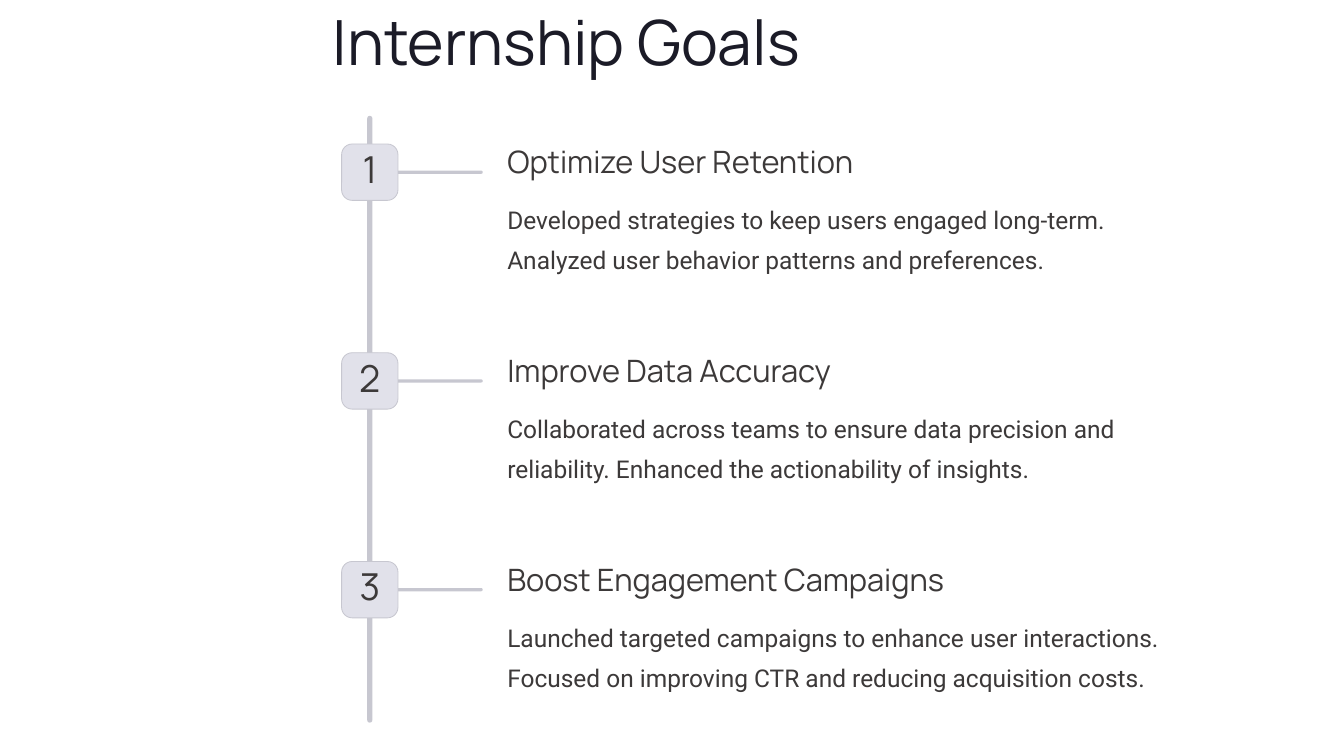
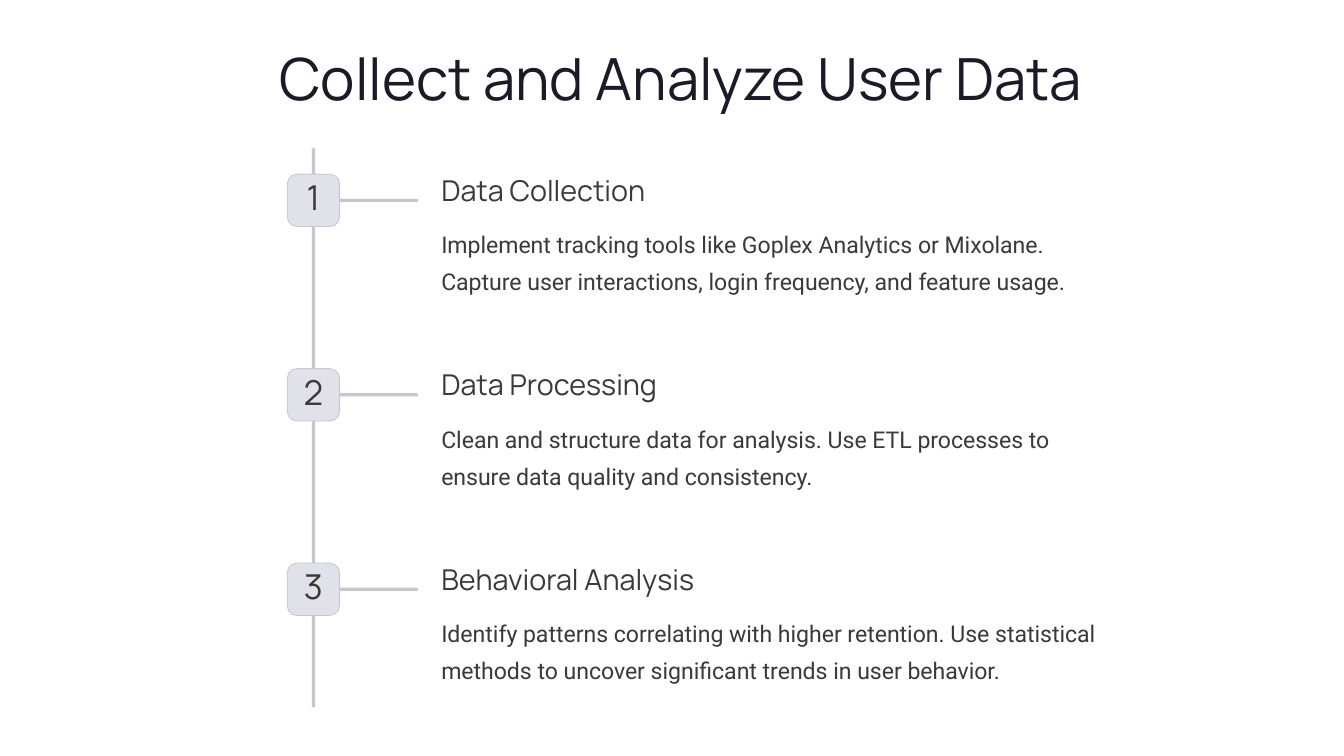
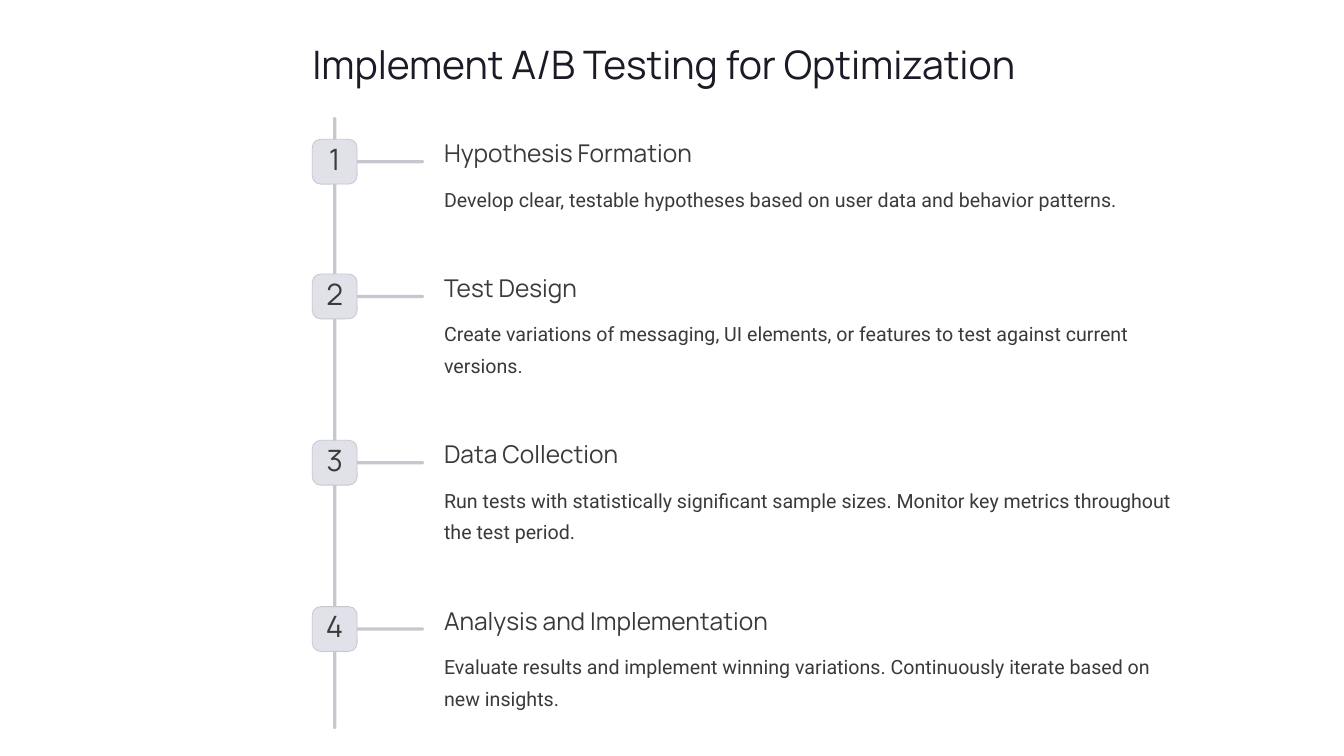
from pptx import Presentation
from pptx.dml.color import RGBColor
from pptx.enum.shapes import MSO_SHAPE as Shape
from pptx.enum.text import MSO_ANCHOR as Anchor, MSO_AUTO_SIZE as AutoSize, PP_ALIGN as Align
from pptx.util import Cm, Pt

INK = RGBColor(0x1B, 0x1B, 0x27)
TEXT = RGBColor(0x3C, 0x39, 0x39)
LINE = RGBColor(0xC7, 0xC7, 0xD0)
BADGE = RGBColor(0xE1, 0xE1, 0xEA)
WHITE = RGBColor(0xFF, 0xFF, 0xFF)

HEAD_FONT, BODY_FONT = "Manrope", "Roboto"
CM_PER_POINT = 2.54 / 72
STEM_HEIGHT = 0.08
STEM_OVERLAP = 0.08
BADGE_CORNER = 0.187

STEM_RATIO = 1.56
TEXT_RATIO = 2.94
HEADING_RISE = 0.05
BODY_DROP = 0.9

TIMELINES = [
    {
        "title": "Internship Goals",
        "title_box": (8.38, 0, 15.75, 1.98),
        "rail": {"top": 2.92, "height": 15.29, "width": 0.13},
        "badge": {"left": 8.61, "top": 3.63, "size": 1.42},
        "pitch": 5.26,
        "body_width": 16.59,
        "type": {"title": (44.5, 55.5), "number": (26.5, 26.5),
                 "heading": (22, 27.5), "body": (17.5, 28.5)},
        "steps": [
            ("Optimize User Retention", 2,
             "Developed strategies to keep users engaged long-term. "
             "Analyzed user behavior patterns and preferences."),
            ("Improve Data Accuracy", 2,
             "Collaborated across teams to ensure data precision and reliability. "
             "Enhanced the actionability of insights."),
            ("Boost Engagement Campaigns", 2,
             "Launched targeted campaigns to enhance user interactions. "
             "Focused on improving CTR and reducing acquisition costs."),
        ],
    },
    {
        "title": "Collect and Analyze User Data",
        "title_box": (7.04, 1.02, 20.8, 1.83),
        "rail": {"top": 3.73, "height": 14.1, "width": 0.08},
        "badge": {"left": 7.24, "top": 4.39, "size": 1.32},
        "pitch": 4.9,
        "body_width": 17.2,
        "type": {"title": (41.5, 51.5), "number": (24.5, 24.5),
                 "heading": (20.5, 25.5), "body": (16.5, 26.5)},
        "steps": [
            ("Data Collection", 2,
             "Implement tracking tools like Goplex Analytics or Mixolane. "
             "Capture user interactions, login frequency, and feature usage."),
            ("Data Processing", 2,
             "Clean and structure data for analysis. "
             "Use ETL processes to ensure data quality and consistency."),
            ("Behavioral Analysis", 2,
             "Identify patterns correlating with higher retention. "
             "Use statistical methods to uncover significant trends in user behavior."),
        ],
    },
    {
        "title": "Implement A/B Testing for Optimization",
        "title_box": (7.87, 0.64, 21.89, 1.88),
        "rail": {"top": 2.95, "height": 15.42, "width": 0.08},
        "badge": {"left": 7.87, "top": 3.51, "size": 1.13},
        "pitch": 4.19,
        "body_width": 18.39,
        "type": {"title": (28, 44), "number": (21, 21),
                 "heading": (17.5, 22), "body": (14, 22.5)},
        "steps": [
            ("Hypothesis Formation", 1,
             "Develop clear, testable hypotheses based on user data and behavior patterns."),
            ("Test Design", 2,
             "Create variations of messaging, UI elements, or features "
             "to test against current versions."),
            ("Data Collection", 2,
             "Run tests with statistically significant sample sizes. "
             "Monitor key metrics throughout the test period."),
            ("Analysis and Implementation", 2,
             "Evaluate results and implement winning variations. "
             "Continuously iterate based on new insights."),
        ],
    },
]


def set_all(target, values):
    for name, value in values.items():
        setattr(target, name, value)


def write(box, text, sizes, font=HEAD_FONT, color=TEXT, align=Align.LEFT, anchor=Anchor.TOP):
    size, spacing = sizes
    frame = box.text_frame
    set_all(frame, {"margin_left": 0, "margin_right": 0, "margin_top": 0, "margin_bottom": 0,
                    "word_wrap": True, "auto_size": AutoSize.NONE, "vertical_anchor": anchor})
    para = frame.paragraphs[0]
    set_all(para, {"alignment": align, "line_spacing": Pt(spacing),
                   "space_before": Pt(0), "space_after": Pt(0)})
    span = para.add_run()
    span.text = text
    set_all(span.font, {"name": font, "size": Pt(size), "bold": False})
    span.font.color.rgb = color


def add_text(page, left, top, width, lines, text, sizes, **style):
    height = lines * sizes[1] * CM_PER_POINT
    box = page.shapes.add_textbox(Cm(left), Cm(top), Cm(width), Cm(height))
    write(box, text, sizes, **style)


def add_rounded(page, left, top, width, height, fill, corner=0.5):
    shape = page.shapes.add_shape(Shape.ROUNDED_RECTANGLE, Cm(left), Cm(top), Cm(width), Cm(height))
    shape.adjustments[0] = corner
    shape.shadow.inherit = False
    shape.fill.solid()
    shape.fill.fore_color.rgb = fill
    shape.line.fill.background()
    return shape


def add_title(page, timeline):
    title = page.shapes.title
    lengths = map(Cm, timeline["title_box"])
    set_all(title, dict(zip(("left", "top", "width", "height"), lengths)))
    write(title, timeline["title"], timeline["type"]["title"], color=INK)


def add_step(page, timeline, number, top, step):
    heading, lines, body = step
    sizes, width = timeline["type"], timeline["body_width"]
    left, size = timeline["badge"]["left"], timeline["badge"]["size"]
    text_left = left + TEXT_RATIO * size
    add_rounded(page, left + size - STEM_OVERLAP, top + (size - STEM_HEIGHT) / 2,
                STEM_RATIO * size, STEM_HEIGHT, LINE)
    badge = add_rounded(page, left, top, size, size, BADGE, BADGE_CORNER)
    badge.line.color.rgb = LINE
    badge.line.width = Pt(0.6)
    write(badge, str(number), sizes["number"], align=Align.CENTER, anchor=Anchor.MIDDLE)
    add_text(page, text_left, top - HEADING_RISE * size, width, 1, heading, sizes["heading"])
    add_text(page, text_left, top + BODY_DROP * size, width, lines, body, sizes["body"],
             font=BODY_FONT)


def add_timeline(deck, timeline):
    page = deck.slides.add_slide(deck.slide_layouts[5])
    page.background.fill.solid()
    page.background.fill.fore_color.rgb = WHITE
    add_title(page, timeline)
    rail, badge = timeline["rail"], timeline["badge"]
    rail_left = badge["left"] + (badge["size"] - rail["width"]) / 2
    add_rounded(page, rail_left, rail["top"], rail["width"], rail["height"], LINE)
    top = badge["top"]
    body_line = timeline["type"]["body"][1] * CM_PER_POINT
    for number, step in enumerate(timeline["steps"], 1):
        add_step(page, timeline, number, top, step)
        top += timeline["pitch"] - (2 - step[1]) * body_line


def main():
    deck = Presentation()
    set_all(deck, {"slide_width": Cm(33.87), "slide_height": Cm(19.05)})
    for timeline in TIMELINES:
        add_timeline(deck, timeline)
    deck.save("out.pptx")


if __name__ == "__main__":
    main()
